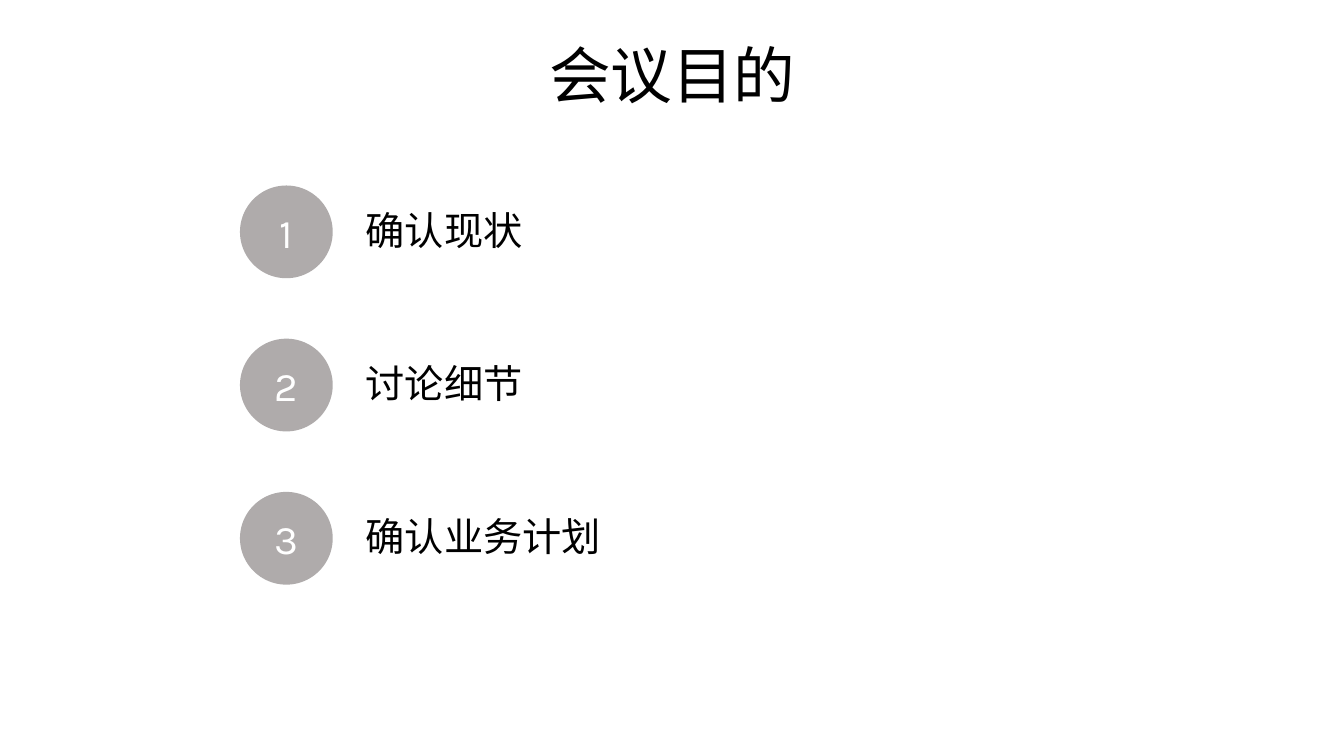
from dataclasses import dataclass

from pptx import Presentation
from pptx.dml.color import RGBColor
from pptx.enum.shapes import MSO_SHAPE
from pptx.enum.text import MSO_ANCHOR, PP_ALIGN
from pptx.util import Pt

PX = 9144


@dataclass(frozen=True)
class Theme:
    font: str = "Karla"
    ink: str = "000000"
    paper: str = "FFFFFF"
    badge: str = "AFABAB"
    title_size: int = 44
    badge_size: int = 29
    item_size: int = 28


class Deck:
    """Draw styled elements on the current slide, measured in px."""

    def __init__(self, theme, width, height):
        self.theme = theme
        self.file = Presentation()
        self.file.slide_width = width * PX
        self.file.slide_height = height * PX
        self.slide = self.file.slides.add_slide(self.file.slide_layouts[6])
        fill = self.slide.background.fill
        fill.solid()
        fill.fore_color.rgb = RGBColor.from_string(theme.paper)

    def set_text(self, shape, text, size, color, align, anchor):
        frame = shape.text_frame
        frame.word_wrap = True
        frame.vertical_anchor = anchor
        para = frame.paragraphs[0]
        para.text = text
        para.alignment = align
        para.font.name = self.theme.font
        para.font.size = Pt(size)
        para.font.color.rgb = RGBColor.from_string(color)
        return para

    def badge(self, text, left, top, side):
        shape = self.slide.shapes.add_shape(
            MSO_SHAPE.OVAL, left * PX, top * PX, side * PX, side * PX)
        shape.shadow.inherit = False
        shape.fill.solid()
        shape.fill.fore_color.rgb = RGBColor.from_string(self.theme.badge)
        shape.line.fill.background()
        self.set_text(shape, text, self.theme.badge_size, self.theme.paper,
                      PP_ALIGN.CENTER, MSO_ANCHOR.MIDDLE)

    def label(self, text, box, size, align=PP_ALIGN.LEFT,
              anchor=MSO_ANCHOR.MIDDLE, before=0):
        shape = self.slide.shapes.add_textbox(*(n * PX for n in box))
        para = self.set_text(shape, text, size, self.theme.ink, align, anchor)
        para.line_spacing = 0.9
        para.space_before = Pt(before)


def main():
    theme = Theme()
    deck = Deck(theme, 1333, 750)
    pitch = 152
    goals = ["确认现状", "讨论细节", "确认业务计划"]
    for row, goal in enumerate(goals):
        deck.badge(str(row + 1), 238, 184 + row * pitch, 92)
        deck.label(goal, (353, 177 + row * pitch, 812, 107),
                   theme.item_size, before=10)
    deck.label("会议目的", (92, 40, 1150, 145), theme.title_size,
               PP_ALIGN.CENTER, MSO_ANCHOR.TOP)
    deck.file.save("out.pptx")


if __name__ == "__main__":
    main()
